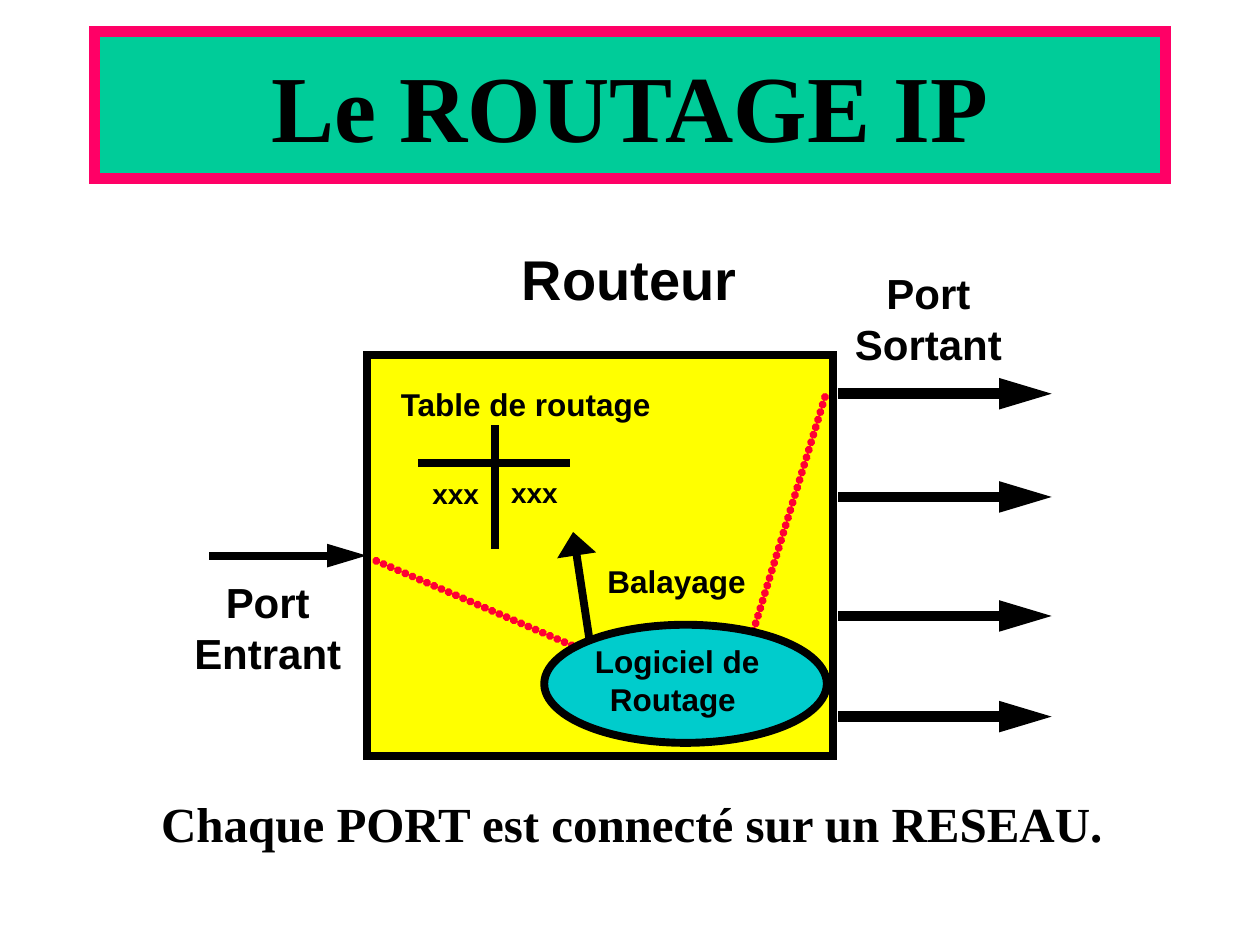
from lxml import etree
from pptx import Presentation
from pptx.dml.color import RGBColor
from pptx.enum.shapes import MSO_CONNECTOR, MSO_SHAPE
from pptx.enum.text import MSO_ANCHOR, MSO_AUTO_SIZE, PP_ALIGN
from pptx.oxml.ns import qn
from pptx.util import Pt

LEFT, CENTER = PP_ALIGN.LEFT, PP_ALIGN.CENTER
RECT, OVAL = MSO_SHAPE.RECTANGLE, MSO_SHAPE.OVAL
MIDDLE, TOP = MSO_ANCHOR.MIDDLE, MSO_ANCHOR.TOP
FIT = MSO_AUTO_SIZE.SHAPE_TO_FIT_TEXT
STRAIGHT = MSO_CONNECTOR.STRAIGHT
SANS, SERIF = "Arial", "Times New Roman"
BLACK, RED = "000000", "FF0033"

# Content: (text, left, top, width, height, size, font, alignment)
TITLE = "Le ROUTAGE IP"
LABELS = [
    ("Routeur", 291, 136, 137, 46, 32, SANS, LEFT),
    ("Table de routage", 222, 216.5, 158.5, 29, 18, SANS, LEFT),
    ("xxx", 240, 268.5, 41, 27, 16, SANS, LEFT),
    ("xxx", 285, 268, 41, 27, 16, SANS, LEFT),
    ("Balayage", 340, 317.5, 93.5, 29, 18, SANS, LEFT),
    ("Logiciel de\nRoutage ", 327, 363.5, 120, 50.5, 18, SANS, CENTER),
    ("Port\nEntrant", 98, 326, 110, 65, 24, SANS, CENTER),
    ("Port\nSortant", 475.5, 149.5, 110, 65, 24, SANS, CENTER),
    ("Chaque PORT est connecté sur un RESEAU.", 85, 450, 554.5, 41, 28, SERIF, LEFT),
]

# Lines: (x1, y1, x2, y2)
TABLE_RULES = [(239, 264.5, 326, 264.5), (283, 243, 283, 314)]
RED_PATHS = [(215, 320.5, 332, 371), (430.5, 360.5, 472, 225)]
SCAN = (337, 366.5, 327.5, 304)
OUT_X, OUT_LENGTH = 479, 122
OUT_PORTS = [225, 284, 352, 409.5]
IN_PORT_X = 119.5
ROUTER = (209.5, 203, 266.5, 229)


def color(hex_code):
    return RGBColor.from_string(hex_code)


def add_shape(kind, box, fill, line, width):
    sp = s.shapes.add_shape(kind, *map(Pt, box))
    sp.shadow.inherit = False
    sp.fill.solid()
    sp.fill.fore_color.rgb = color(fill)
    sp.line.color.rgb = color(line)
    sp.line.width = Pt(width)
    # Sharp corners
    etree.SubElement(sp.line._get_or_add_ln(), qn("a:miter"), lim="800000")
    return sp


def write(sp, text, size, font, align, anchor=TOP):
    tf = sp.text_frame
    tf.text = text
    tf.vertical_anchor = anchor
    for p in tf.paragraphs:
        p.alignment = align
        for r in p.runs:
            r.font.size, r.font.name, r.font.bold = Pt(size), font, True
            r.font.color.rgb = color(BLACK)


def add_line(points, width=4.5, line=BLACK, head=None, dotted=False):
    c = s.shapes.add_connector(STRAIGHT, *map(Pt, points))
    c.line.color.rgb = color(line)
    c.line.width = Pt(width)
    ln = c.line._get_or_add_ln()
    if dotted:  # round dots that touch each other
        ln.set("cap", "rnd")
        dash = etree.SubElement(ln, qn("a:custDash"))
        etree.SubElement(dash, qn("a:ds"), d="100000", sp="0")
    if head:
        w, length = head
        etree.SubElement(ln, qn("a:tailEnd"), type="triangle", w=w, len=length)
    etree.SubElement(c._element.spPr, qn("a:effectLst"))
    return c


prs = Presentation()
prs.slide_width, prs.slide_height = Pt(720), Pt(540)
s = prs.slides.add_slide(prs.slide_layouts[6])

# Title band
band = add_shape(RECT, (54, 18, 612, 84), "00CC99", "FF0066", 6)
write(band, TITLE, 54, SERIF, CENTER, MIDDLE)

# Router and its ports
router = add_shape(RECT, ROUTER, "FFFF00", BLACK, 4.5)
for y in OUT_PORTS:
    add_line((OUT_X, y, OUT_X + OUT_LENGTH, y), 6, head=("med", "lg"))
in_y = ROUTER[1] + ROUTER[3] / 2
entry = add_line((IN_PORT_X, in_y, ROUTER[0], in_y), head=("med", "lg"))
entry.end_connect(router, 1)

# Path through the router, routing table, software
for points in RED_PATHS:
    add_line(points, line=RED, dotted=True)
for points in TABLE_RULES:
    add_line(points)
add_shape(OVAL, (311, 357, 161.5, 67.5), "00CCCC", BLACK, 4.5)
add_line(SCAN, head=("lg", "med"))

# Labels
for text, x, y, w, h, size, font, align in LABELS:
    box = s.shapes.add_textbox(Pt(x), Pt(y), Pt(w), Pt(h))
    write(box, text, size, font, align)
    box.text_frame.word_wrap = False
    box.text_frame.auto_size = FIT

prs.save("out.pptx")
